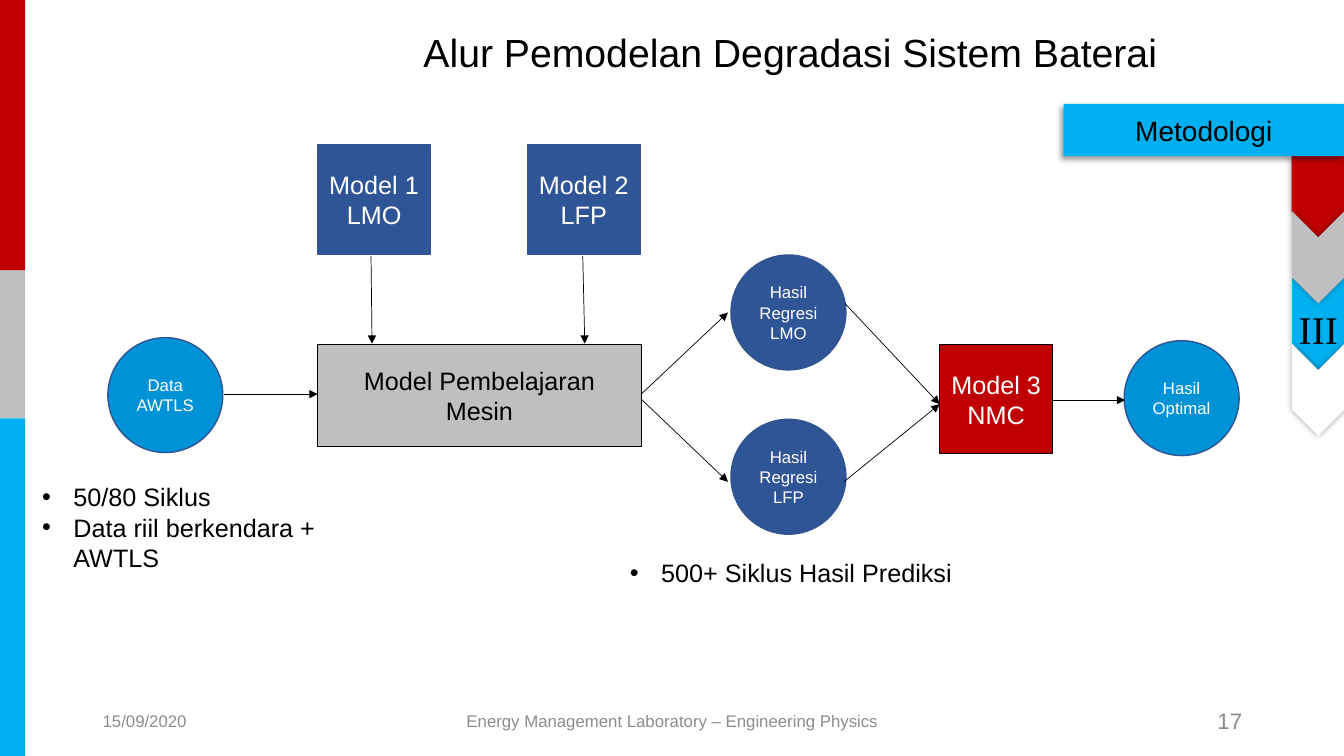
from dataclasses import dataclass
from typing import Optional

from lxml import etree
from pptx import Presentation
from pptx.dml.color import RGBColor
from pptx.enum import shapes, text
from pptx.oxml import ns
from pptx.util import Inches, Pt

SHAPE = shapes.MSO_SHAPE
ALIGN = text.PP_ALIGN
ANCHOR = text.MSO_ANCHOR


@dataclass(frozen=True)
class Theme:
    black: str = "000000"
    white: str = "FFFFFF"
    grey: str = "BFBFBF"
    footer_grey: str = "8C8C8C"
    red: str = "C00000"
    sky: str = "00B0F0"
    blue: str = "0092D7"
    navy: str = "2F5597"
    outline: str = "325491"
    font: str = "Arial"
    numeral_font: str = "Times New Roman"
    title_size: int = 28
    ribbon_size: int = 20
    body_size: int = 18
    page_size: int = 16
    small_size: int = 12


THEME = Theme()


@dataclass(frozen=True)
class Box:
    left: float
    top: float
    width: float
    height: float

    def lengths(self) -> tuple:
        return tuple(Inches(n) for n in (self.left, self.top, self.width, self.height))


@dataclass(frozen=True)
class Shadow:
    blur: float
    distance: float = 0
    angle: int = 0


@dataclass(frozen=True)
class Block:
    box: Box
    fill: str
    kind: int = SHAPE.RECTANGLE
    label: str = ""
    size: int = THEME.body_size
    color: str = THEME.white
    outline: Optional[str] = None
    rotation: int = 0
    shadow: Optional[Shadow] = None


@dataclass(frozen=True)
class Label:
    box: Box
    content: str
    size: int = THEME.body_size
    color: str = THEME.black
    font: str = THEME.font
    align: int = ALIGN.LEFT
    anchor: int = ANCHOR.TOP
    bulleted: bool = False


@dataclass(frozen=True)
class Arrow:
    start: tuple[float, float]
    end: tuple[float, float]


def model(left: float, top: float, label: str, fill: str = THEME.navy,
          outline: str = THEME.outline) -> Block:
    return Block(Box(left, top, 1.12, 1.08), fill, label=label, outline=outline)


def circle(left: float, top: float, label: str, fill: str) -> Block:
    return Block(Box(left, top, 1.14, 1.14), fill, SHAPE.OVAL, label,
                 THEME.small_size, outline=THEME.outline)


def marker(top: float, fill: str, kind: int = SHAPE.CHEVRON,
           left: float = 12.62, length: float = 0.91) -> Block:
    """Downward step marker at the right edge of the slide."""
    return Block(Box(left, top, length, 0.52), fill, kind, rotation=90, shadow=Shadow(5))


SIDE_BARS = [
    Block(Box(0, 2.67, 0.25, 1.48), THEME.grey),
    Block(Box(0, 4.15, 0.25, 3.35), THEME.sky),
    Block(Box(0, 0, 0.25, 2.68), THEME.red),
]
FLOW = [
    model(3.15, 1.44, "Model 1\nLMO"),
    model(5.23, 1.44, "Model 2 LFP"),
    model(9.32, 3.42, "Model 3\nNMC", THEME.red, THEME.black),
    Block(Box(3.15, 3.42, 3.21, 1.01), THEME.grey, label="Model Pembelajaran Mesin",
          color=THEME.black, outline=THEME.black),
    circle(7.25, 2.53, "Hasil Regresi LMO", THEME.navy),
    circle(7.25, 4.16, "Hasil Regresi LFP", THEME.navy),
    circle(1.07, 3.35, "Data AWTLS", THEME.blue),
    circle(11.15, 3.38, "Hasil\nOptimal", THEME.blue),
]
ARROWS = [
    Arrow((2.22, 3.91), (3.15, 3.91)),
    Arrow((3.68, 2.54), (3.69, 3.41)),
    Arrow((5.78, 2.54), (5.8, 3.41)),
    Arrow((6.36, 3.91), (7.22, 3.1)),
    Arrow((6.36, 3.96), (7.22, 4.78)),
    Arrow((8.38, 3.01), (9.32, 4.01)),
    Arrow((8.37, 4.78), (9.32, 4.01)),
    Arrow((10.44, 3.97), (11.16, 3.97)),
]
PROGRESS = [
    marker(1.69, THEME.red, SHAPE.PENTAGON, left=12.66, length=0.82),
    marker(2.95, THEME.sky),
    marker(2.29, THEME.grey),
    Block(Box(10.55, 1.03, 2.78, 0.52), THEME.sky, label="Metodologi",
          size=THEME.ribbon_size, color=THEME.black, shadow=Shadow(4, 3, 135)),
    marker(3.61, THEME.white),
]
LABELS = [
    Label(Box(0.92, 6.95, 3, 0.4), "15/09/2020", THEME.small_size, THEME.footer_grey,
          anchor=ANCHOR.MIDDLE),
    Label(Box(4.42, 6.95, 4.5, 0.4), "Energy Management Laboratory – Engineering Physics",
          THEME.small_size, THEME.footer_grey, align=ALIGN.CENTER, anchor=ANCHOR.MIDDLE),
    Label(Box(9.42, 6.95, 3, 0.4), "17", THEME.page_size, THEME.footer_grey,
          align=ALIGN.RIGHT, anchor=ANCHOR.MIDDLE),
    Label(Box(12.74, 2.98, 0.67, 0.57), "III", THEME.title_size, font=THEME.numeral_font,
          align=ALIGN.CENTER),
    Label(Box(0.32, 4.73, 3, 1.01), "50/80 Siklus\nData riil berkendara + AWTLS",
          bulleted=True),
    Label(Box(6.15, 5.48, 3.43, 0.4), "500+ Siklus Hasil Prediksi", bulleted=True),
]
TITLE = Label(Box(4.1, 0, 9.23, 1.08), "Alur Pemodelan Degradasi Sistem Baterai",
              THEME.title_size, anchor=ANCHOR.MIDDLE)


def add_bullet(paragraph) -> None:
    properties = paragraph._p.get_or_add_pPr()
    properties.set("marL", str(Inches(0.31)))
    properties.set("indent", str(-Inches(0.31)))
    etree.SubElement(properties, ns.qn("a:buFont"), typeface=THEME.font)
    etree.SubElement(properties, ns.qn("a:buChar"), char="•")


def write_text(shape, label: Label) -> None:
    frame = shape.text_frame
    frame.word_wrap = True
    frame.vertical_anchor = label.anchor
    frame.text = label.content
    for paragraph in frame.paragraphs:
        paragraph.alignment = label.align
        if label.bulleted:
            add_bullet(paragraph)
        for run in paragraph.runs:
            run.font.name = label.font
            run.font.size = Pt(label.size)
            run.font.color.rgb = RGBColor.from_string(label.color)


def cast_shadow(shape, shadow: Shadow) -> None:
    effects = shape._element.spPr.find(ns.qn("a:effectLst"))
    outer = etree.SubElement(
        effects, ns.qn("a:outerShdw"), blurRad=str(Pt(shadow.blur)),
        dist=str(Pt(shadow.distance)), dir=str(shadow.angle * 60000), rotWithShape="0")
    color = etree.SubElement(outer, ns.qn("a:srgbClr"), val=THEME.black)
    etree.SubElement(color, ns.qn("a:alpha"), val="40000")


def add_block(slide, block: Block) -> None:
    shape = slide.shapes.add_shape(block.kind, *block.box.lengths())
    shape.rotation = block.rotation
    shape.fill.solid()
    shape.fill.fore_color.rgb = RGBColor.from_string(block.fill)
    if block.outline:
        shape.line.color.rgb = RGBColor.from_string(block.outline)
        shape.line.width = Pt(1)
    else:
        shape.line.fill.background()
    shape.shadow.inherit = False
    if block.shadow:
        cast_shadow(shape, block.shadow)
    if block.label:
        write_text(shape, Label(block.box, block.label, block.size, block.color,
                                align=ALIGN.CENTER, anchor=ANCHOR.MIDDLE))


def add_arrow(slide, arrow: Arrow) -> None:
    points = [Inches(n) for n in (*arrow.start, *arrow.end)]
    connector = slide.shapes.add_connector(shapes.MSO_CONNECTOR.STRAIGHT, *points)
    connector.line.color.rgb = RGBColor.from_string(THEME.black)
    connector.line.width = Pt(0.5)
    etree.SubElement(connector.line._get_or_add_ln(), ns.qn("a:tailEnd"), type="triangle")
    etree.SubElement(connector._element.spPr, ns.qn("a:effectLst"))


def add_title(slide) -> None:
    title = slide.shapes.title
    title.left, title.top, title.width, title.height = TITLE.box.lengths()
    write_text(title, TITLE)
    title.text_frame.paragraphs[0].line_spacing = 0.9


def main() -> None:
    presentation = Presentation()
    presentation.slide_width, presentation.slide_height = Inches(13.33), Inches(7.5)
    slide = presentation.slides.add_slide(presentation.slide_layouts.get_by_name("Title Only"))
    add_title(slide)
    for block in SIDE_BARS + FLOW:
        add_block(slide, block)
    for arrow in ARROWS:
        add_arrow(slide, arrow)
    for block in PROGRESS:
        add_block(slide, block)
    for label in LABELS:
        write_text(slide.shapes.add_textbox(*label.box.lengths()), label)
    presentation.save("out.pptx")


if __name__ == "__main__":
    main()
